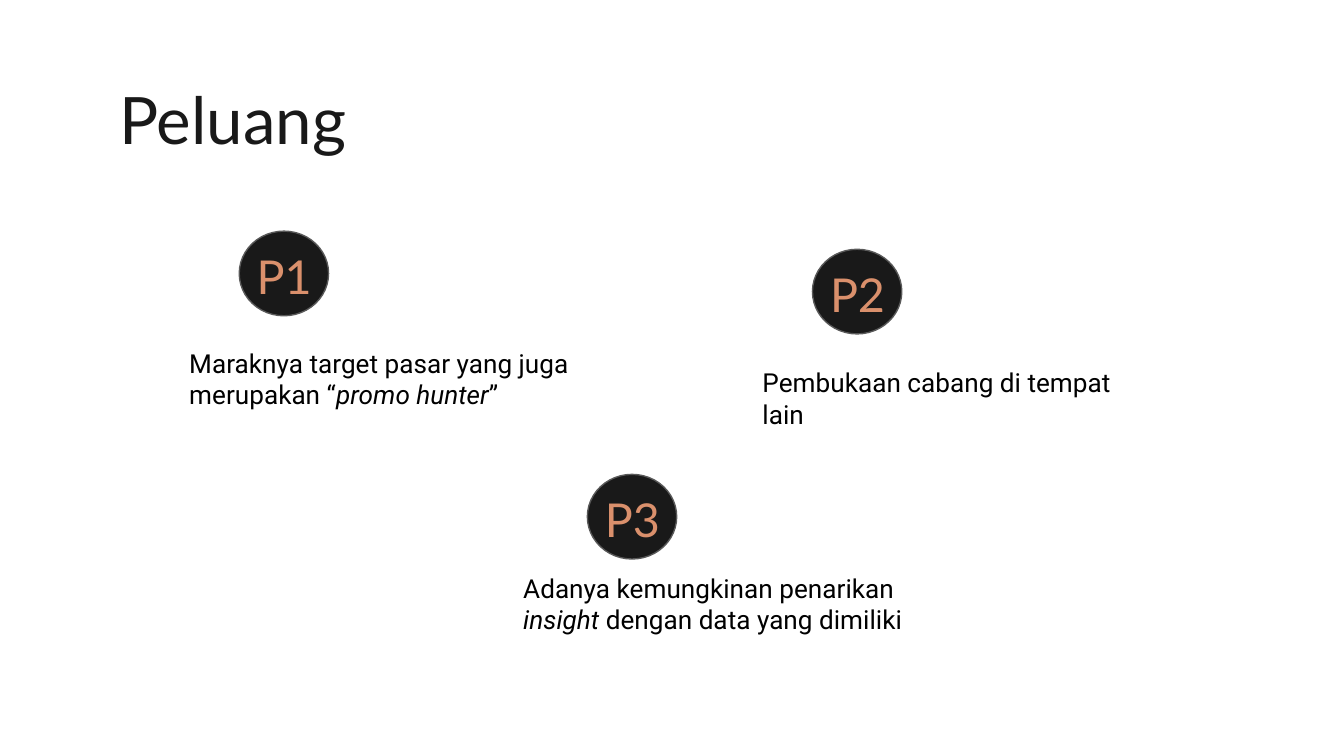
from pptx import Presentation
from pptx.dml.color import RGBColor as RGB
from pptx.enum.shapes import MSO_SHAPE as SHAPE
from pptx.enum.text import MSO_ANCHOR as ANCHOR, PP_ALIGN as ALIGN
from pptx.util import Pt

PX = 4572  # EMU per px, 200 px to the inch
COLORS = {"ink": "191919", "outline": "595959", "accent": "DA906C", "body": "000000"}


def color(name):
    return RGB.from_string(COLORS[name])


def add_text(s, box, runs, font, size, name, align=ALIGN.LEFT):
    """Add a one-paragraph text box; runs are (text, italic) pairs."""
    tf = s.shapes.add_textbox(*[v * PX for v in box]).text_frame
    tf.word_wrap = True
    tf.vertical_anchor = ANCHOR.TOP
    tf.margin_left = tf.margin_right = tf.margin_top = tf.margin_bottom = 20 * PX
    p = tf.paragraphs[0]
    p.alignment = align
    p.font.name, p.font.size = font, Pt(size)
    p.font.color.rgb = color(name)
    for text, italic in runs:
        r = p.add_run()
        r.text = text
        if italic:
            r.font.italic = True


prs = Presentation()
prs.slide_width, prs.slide_height = 2000 * PX, 1125 * PX
s = prs.slides.add_slide(prs.slide_layouts[6])

# Title
add_text(s, (158, 98, 1686, 126), [("Peluang", False)], "Lato", 35, "ink")

# Opportunities: label, left, circle left, circle top, label width, text top, text
opportunities = [
    ("P1", 262, 356, 344, 322, 497,
     [("Maraknya target pasar yang juga merupakan “", False),
      ("promo hunter", True), ("”", False)]),
    ("P2", 1115, 1209, 371, 322, 526,
     [("Pembukaan cabang di tempat lain", False)]),
    ("P3", 759, 874, 706, 364, 832,
     [("Adanya kemungkinan penarikan ", False), ("insight", True),
      (" dengan data yang dimiliki", False)]),
]
for label, left, circle_left, top, label_width, text_top, runs in opportunities:
    # Circle
    sp = s.shapes.add_shape(SHAPE.OVAL, circle_left * PX, top * PX, 133 * PX, 126 * PX)
    sp.shadow.inherit = False
    sp.fill.solid()
    sp.fill.fore_color.rgb = color("ink")
    sp.line.color.rgb = color("outline")
    sp.line.width = Pt(0.75)

    # Label and description
    add_text(s, (left, top + 5, label_width, 116), [(label, False)],
             "Lato", 25, "accent", ALIGN.CENTER)
    add_text(s, (left, text_top, 628, 106), runs, "Roboto", 14, "body")

prs.save("out.pptx")
